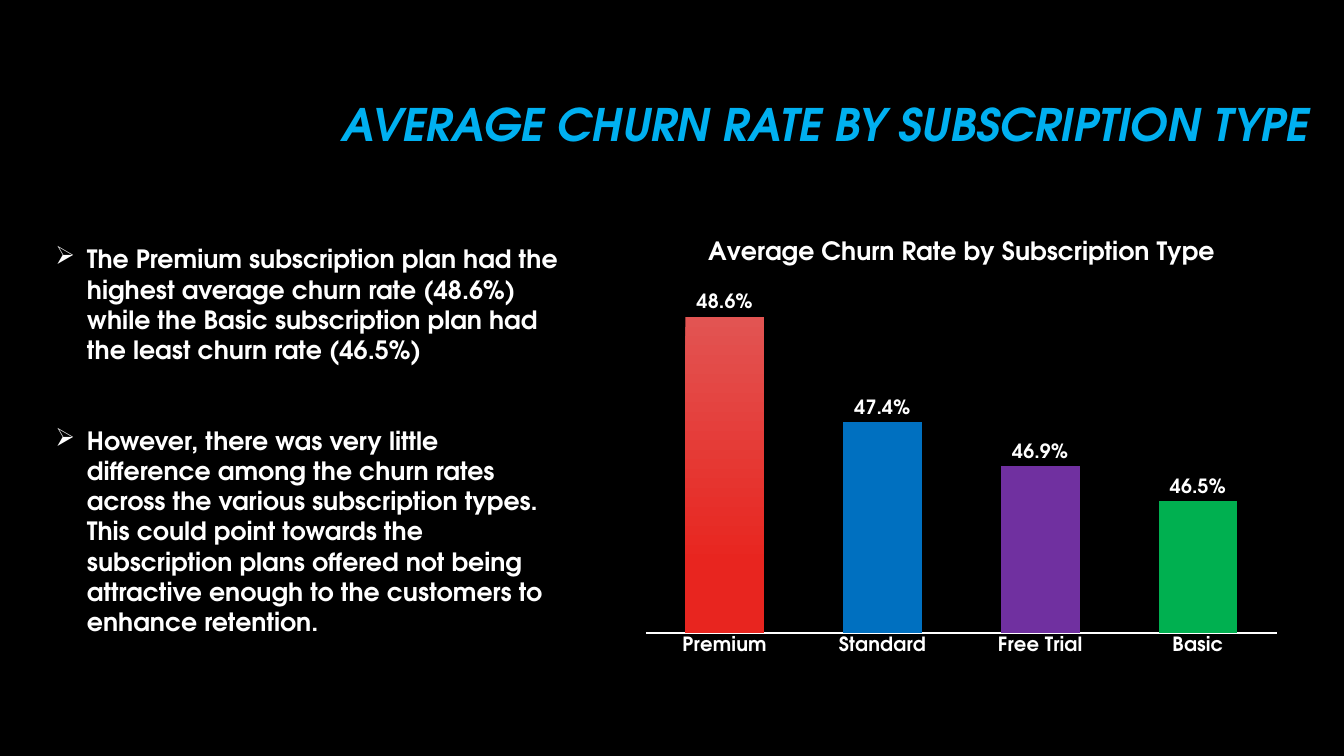
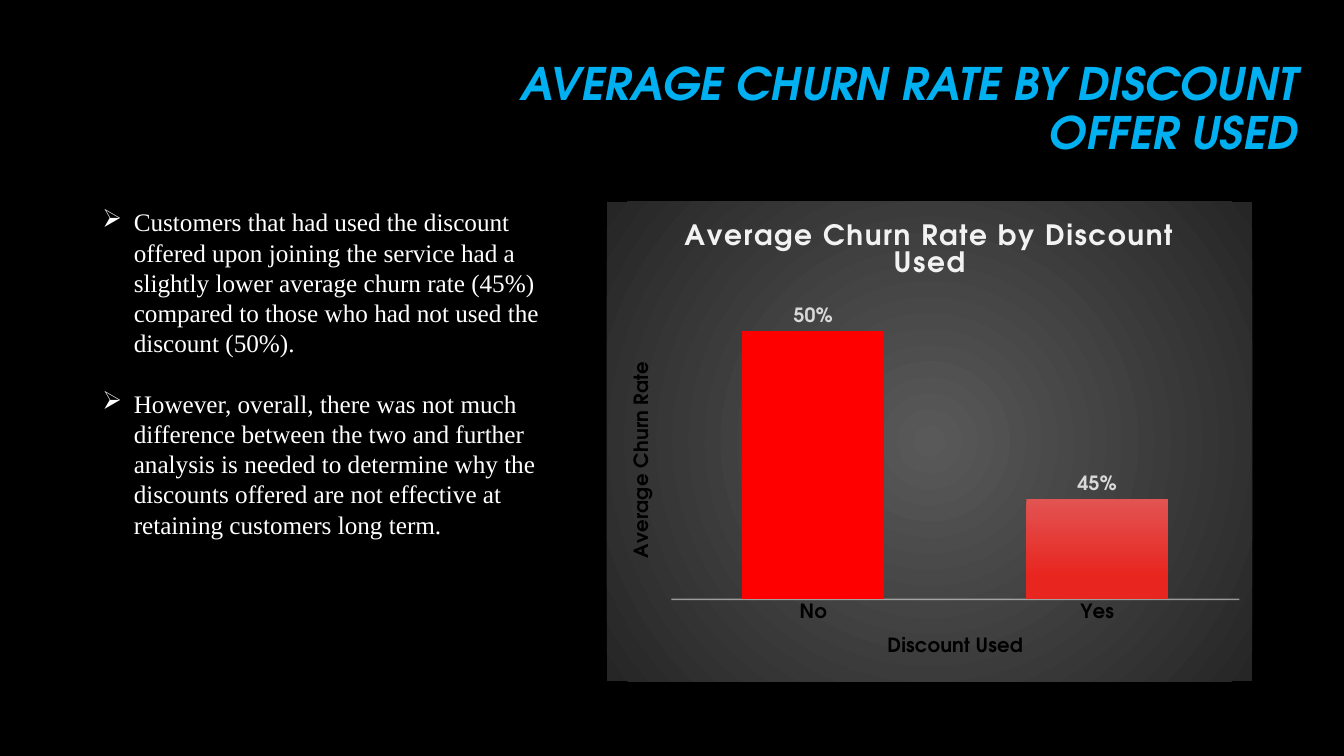
from lxml import etree
from pptx import Presentation
from pptx.chart.data import CategoryChartData
from pptx.dml.color import RGBColor
from pptx.enum import chart as ch, text as tx
from pptx.oxml import parse_xml
from pptx.oxml.ns import nsdecls, qn
from pptx.util import Pt

BLACK = RGBColor(0x00, 0x00, 0x00)
WHITE = RGBColor(0xFF, 0xFF, 0xFF)
OFF_WHITE = RGBColor(0xF2, 0xF2, 0xF2)
SILVER = RGBColor(0xD9, 0xD9, 0xD9)
GRAPHITE = RGBColor(0x59, 0x59, 0x59)
CHARCOAL = RGBColor(0x26, 0x26, 0x26)
SKY = RGBColor(0x00, 0xB0, 0xF0)
CORAL = RGBColor(0xE2, 0x54, 0x52)
SCARLET = RGBColor(0xE8, 0x25, 0x1F)
RED = RGBColor(0xFF, 0x00, 0x00)
BLUE = RGBColor(0x00, 0x70, 0xC0)
PURPLE = RGBColor(0x70, 0x30, 0xA0)
GREEN = RGBColor(0x00, 0xB0, 0x50)

SANS = "TeX Gyre Adventor"
SERIF = "Times New Roman"


def set_font(font, size, color=WHITE, name=SANS, bold=True, italic=False):
    font.size, font.name = Pt(size), name
    font.bold, font.italic = bold, italic
    font.color.rgb = color


def write(paragraph, content, spacing=None, **style):
    """Add a formatted run; spacing is the letter spacing in points."""
    run = paragraph.add_run()
    run.text = content
    set_font(run.font, **style)
    if spacing:
        run.font._element.set("spc", str(spacing * 100))


def add_bullet(paragraph, sign="➢", indent=22.5):
    props = paragraph._p.get_or_add_pPr()
    props.set("marL", str(Pt(indent)))
    props.set("indent", str(-Pt(indent)))
    etree.SubElement(props, qn("a:buChar")).set("char", sign)


def area_format(fill="<a:noFill/>"):
    return parse_xml(f'<c:spPr {nsdecls("c", "a")}>{fill}'
                     '<a:ln><a:noFill/></a:ln></c:spPr>')


def radial_fill(center, edge):
    stops = "".join(f'<a:gs pos="{pos}"><a:srgbClr val="{color}"/></a:gs>'
                    for pos, color in ((0, center), (100000, edge)))
    return (f'<a:gradFill><a:gsLst>{stops}</a:gsLst><a:path path="circle">'
            '<a:fillToRect l="50000" t="50000" r="50000" b="50000"/>'
            '</a:path></a:gradFill>')


def place_plot(plot_area, x, y, w, h):
    """Fix the inner plot area, in fractions of the chart."""
    layout = plot_area.find(qn("c:layout"))
    if layout is not None:
        plot_area.remove(layout)
    parts = (("layoutTarget", "inner"), ("xMode", "edge"), ("yMode", "edge"),
             ("x", x), ("y", y), ("w", w), ("h", h))
    inner = "".join(f'<c:{tag} val="{val}"/>' for tag, val in parts)
    plot_area.insert(0, parse_xml(
        f'<c:layout {nsdecls("c")}><c:manualLayout>{inner}</c:manualLayout></c:layout>'))


class Deck:
    def __init__(self):
        self.prs = Presentation()
        self.prs.slide_width, self.prs.slide_height = Pt(960), Pt(540)
        self.slide = None

    def add_slide(self, heading, box):
        self.slide = self.prs.slides.add_slide(self.prs.slide_layouts[5])
        background = self.slide.background.fill
        background.solid()
        background.fore_color.rgb = BLACK
        title = self.slide.shapes.title
        title.left, title.top, title.width, title.height = map(Pt, box)
        frame = title.text_frame
        frame.word_wrap = True
        frame.auto_size = tx.MSO_AUTO_SIZE.NONE
        frame.vertical_anchor = tx.MSO_ANCHOR.MIDDLE
        line = frame.paragraphs[0]
        line.alignment, line.line_spacing = tx.PP_ALIGN.RIGHT, 0.9
        write(line, heading, size=32, color=SKY, italic=True)

    def add_findings(self, findings, box, gap, **style):
        frame = self.slide.shapes.add_textbox(*map(Pt, box)).text_frame
        frame.word_wrap = True
        frame.auto_size = tx.MSO_AUTO_SIZE.SHAPE_TO_FIT_TEXT
        for i, finding in enumerate(findings):
            paragraph = frame.add_paragraph() if i else frame.paragraphs[0]
            paragraph.line_spacing = Pt(21.6)
            paragraph.space_before = Pt(gap if i else 0)
            add_bullet(paragraph)
            write(paragraph, finding, size=18, **style)

    def add_rates(self, rates, box, plot_box, limits, number_format, heading,
                  bar_colors, label_color=WHITE, axis_color=WHITE, line_color=WHITE,
                  line_alpha=100, axis_titles=(), area_fill="<a:noFill/>"):
        """Column chart of rates; bars missing from bar_colors get the red gradient."""
        data = CategoryChartData(number_format=number_format)
        data.categories = list(rates)
        data.add_series("Series 1", list(rates.values()))
        chart = self.slide.shapes.add_chart(
            ch.XL_CHART_TYPE.COLUMN_CLUSTERED, *map(Pt, box), data).chart
        set_font(chart.font, 10, bold=False)
        chart.has_legend = False
        chart.has_title = True
        write(chart.chart_title.text_frame.paragraphs[0], **heading)
        chart.chart_title.include_in_layout = False

        space = chart.element
        space.find(qn("c:chart")).addnext(area_format(area_fill))
        plot_area = space.find(".//" + qn("c:plotArea"))
        place_plot(plot_area, *plot_box)
        plot_area.append(area_format())

        categories, values = chart.category_axis, chart.value_axis
        values.minimum_scale, values.maximum_scale = limits
        values.has_major_gridlines = False
        values.visible = False
        categories.major_tick_mark = ch.XL_TICK_MARK.NONE
        set_font(categories.tick_labels.font, 14, axis_color)
        line = categories.format.line
        line.width = Pt(1)
        line.color.rgb = line_color
        if line_alpha < 100:
            tint = categories._element.find(f"{qn('c:spPr')}//{qn('a:srgbClr')}")
            etree.SubElement(tint, qn("a:alpha")).set("val", str(line_alpha * 1000))
        for axis, label in zip((categories, values), axis_titles):
            write(axis.axis_title.text_frame.paragraphs[0], label, size=14, color=axis_color)

        plot = chart.plots[0]
        plot.gap_width, plot.overlap, plot.vary_by_categories = 100, -24, False
        plot.has_data_labels = True
        labels = plot.data_labels
        labels.show_value = True
        labels.position = ch.XL_LABEL_POSITION.OUTSIDE_END
        labels.number_format, labels.number_format_is_linked = number_format, False
        set_font(labels.font, 14, label_color)

        bars = plot.series[0]
        fill = bars.format.fill
        fill.gradient()
        fill.gradient_angle = 270
        for stop, color, position in zip(fill.gradient_stops, (CORAL, SCARLET), (0, 0.78)):
            stop.color.rgb, stop.position = color, position
        for i, category in enumerate(rates):
            if category in bar_colors:
                bar = bars.points[i].format.fill
                bar.solid()
                bar.fore_color.rgb = bar_colors[category]


def main():
    deck = Deck()

    deck.add_slide("AVERAGE CHURN RATE BY SUBSCRIPTION TYPE", (202, 52.5, 741, 76))
    deck.add_rates(
        {"Premium": 0.486, "Standard": 0.474, "Free Trial": 0.469, "Basic": 0.465},
        box=(452, 157, 469.5, 317.5), plot_box=(0.02, 0.14, 0.96, 0.79),
        limits=(0.45, 0.49), number_format="0.0%",
        heading=dict(content="Average Churn Rate by Subscription Type", size=18),
        bar_colors={"Standard": BLUE, "Free Trial": PURPLE, "Basic": GREEN})
    deck.add_findings(
        ["The Premium subscription plan had the highest average churn rate (48.6%) "
         "while the Basic subscription plan had the least churn rate (46.5%)",
         "However, there was very little difference among the churn rates across the "
         "various subscription types. This could point towards the subscription plans "
         "offered not being attractive enough to the customers to enhance retention."],
        box=(32.5, 170.5, 378.5, 291), gap=43.2)

    deck.add_slide("AVERAGE CHURN RATE BY DISCOUNT OFFER USED", (265.5, 38, 669, 82))
    deck.add_rates(
        {"No": 0.5, "Yes": 0.45},
        box=(433.5, 144, 461, 342.5), plot_box=(0.1, 0.2, 0.88, 0.63),
        limits=(0.42, 0.51), number_format="0%",
        heading=dict(content="Average Churn Rate by Discount Used", size=20,
                     color=OFF_WHITE, spacing=1),
        bar_colors={"No": RED}, label_color=SILVER, axis_color=BLACK,
        line_color=OFF_WHITE, line_alpha=54,
        axis_titles=("Discount Used", "Average Churn Rate"),
        area_fill=radial_fill(GRAPHITE, CHARCOAL))
    deck.add_findings(
        ["Customers that had used the discount offered upon joining the service had a "
         "slightly lower average churn rate (45%) compared to those who had not used "
         "the discount (50%).",
         "However, overall, there was not much difference between the two and further "
         "analysis is needed to determine why the discounts offered are not effective "
         "at retaining customers long term."],
        box=(66, 144, 332.5, 269.5), gap=21.6, name=SERIF, bold=False)

    deck.prs.save("out.pptx")


if __name__ == "__main__":
    main()
